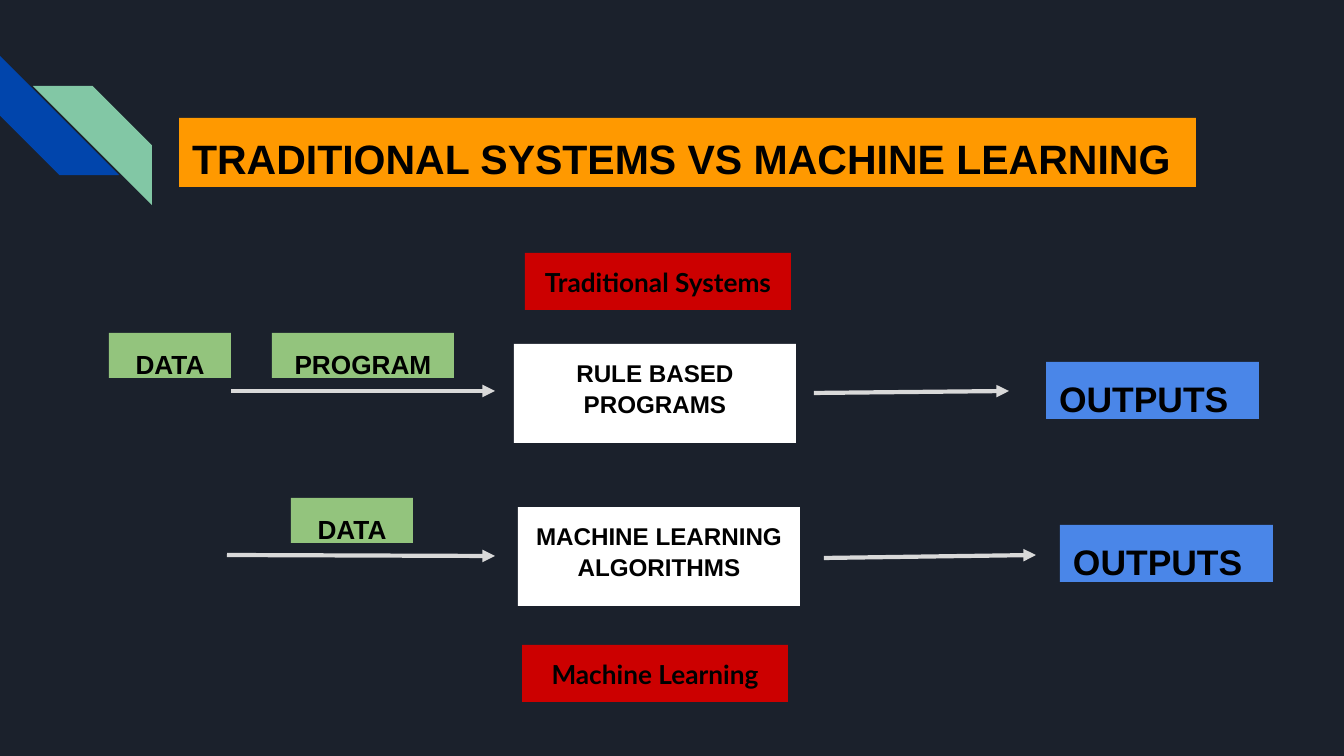
from dataclasses import dataclass
from lxml.etree import SubElement as Sub
from pptx import Presentation
from pptx.dml.color import RGBColor as RGB
from pptx.enum.shapes import MSO_CONNECTOR as Link, MSO_SHAPE as Kind
from pptx.enum.text import MSO_ANCHOR as Anchor, PP_ALIGN as Align
from pptx.oxml.ns import qn
from pptx.slide import Slide
from pptx.util import Emu, Pt

SCALE = 914400 / 100.8
INSET = 13
NIGHT = RGB(0x1B, 0x21, 0x2C)
BLUE = RGB(0x01, 0x45, 0xAC)
MINT = RGB(0x82, 0xC7, 0xA5)
WHITE = RGB(0xFF, 0xFF, 0xFF)
BLACK = RGB(0x00, 0x00, 0x00)
GREY = RGB(0xD9, 0xD9, 0xD9)
RED = RGB(0xCC, 0x00, 0x00)
GREEN = RGB(0x93, 0xC4, 0x7D)
SKY = RGB(0x4A, 0x86, 0xE8)
AMBER = RGB(0xFF, 0x99, 0x00)


@dataclass(frozen=True)
class Style:
    wide: int
    high: int
    fill: RGB
    size: float
    align: Align = Align.CENTER
    face: str = "Arial"
    pitch: float = 1.06


@dataclass(frozen=True)
class Box:
    text: str
    left: int
    top: int
    style: Style


@dataclass(frozen=True)
class Stripe:
    left: int
    top: int
    turn: int
    fill: RGB


@dataclass(frozen=True)
class Arrow:
    left: int
    start: int
    right: int
    end: int


TITLE = Style(1017, 69, AMBER, 29.3, Align.LEFT)
LABEL = Style(266, 57, RED, 18.7, face="Lato", pitch=1.0)
MODEL = Style(282, 99, WHITE, 17.3)
DATA = Style(122, 45, GREEN, 18.7)
CODE = Style(182, 45, GREEN, 18.7)
RESULT = Style(213, 57, SKY, 25.3, Align.LEFT)

STRIPES = [Stripe(0, 56, 270, BLUE), Stripe(33, 86, 90, MINT)]
ARROWS = [
    Arrow(231, 391, 495, 391),
    Arrow(227, 555, 495, 556),
    Arrow(814, 393, 1009, 391),
    Arrow(824, 558, 1036, 555),
]
BOXES = [
    Box("MACHINE LEARNING ALGORITHMS", 518, 507, MODEL),
    Box("RULE BASED PROGRAMS", 514, 344, MODEL),
    Box("Traditional Systems", 525, 253, LABEL),
    Box("Machine Learning", 522, 645, LABEL),
    Box("DATA", 109, 333, DATA),
    Box("PROGRAM", 272, 333, CODE),
    Box("DATA", 291, 498, DATA),
    Box("OUTPUTS", 1046, 362, RESULT),
    Box("OUTPUTS", 1060, 525, RESULT),
    Box("TRADITIONAL SYSTEMS VS MACHINE LEARNING", 179, 118, TITLE),
]


def px(count: int) -> Emu:
    return Emu(round(count * SCALE))


def put(item: object, form: dict) -> None:
    for name, value in form.items():
        setattr(item, name, value)


def shape(slide: Slide, kind: Kind, area: tuple, fill: RGB):
    form = slide.shapes.add_shape(kind, *map(px, area))
    form.shadow.inherit = False
    form.fill.solid()
    form.fill.fore_color.rgb = fill
    form.line.fill.background()
    return form


def add_stripe(slide: Slide, band: Stripe) -> None:
    form = shape(slide, Kind.DIAGONAL_STRIPE, (band.left, band.top, 119, 119), band.fill)
    form.rotation = band.turn


def add_box(slide: Slide, box: Box) -> None:
    style = box.style
    area = (box.left, box.top, style.wide, style.high)
    frame = shape(slide, Kind.RECTANGLE, area, style.fill).text_frame
    sides = ("left", "top", "right", "bottom")
    put(frame, {f"margin_{side}": px(INSET) for side in sides})
    put(frame, {"word_wrap": True, "vertical_anchor": Anchor.TOP, "text": box.text})
    para = frame.paragraphs[0]
    put(para, {"alignment": style.align, "line_spacing": style.pitch})
    font = para.runs[0].font
    put(font, {"name": style.face, "size": Pt(style.size), "bold": True})
    font.color.rgb = BLACK


def add_arrow(slide: Slide, arrow: Arrow) -> None:
    ends = (arrow.left, arrow.start, arrow.right, arrow.end)
    link = slide.shapes.add_connector(Link.STRAIGHT, *map(px, ends))
    link.line.color.rgb = GREY
    link.line.width = Pt(3)
    Sub(link.line._get_or_add_ln(), qn("a:tailEnd"), type="triangle")
    Sub(link._element.spPr, qn("a:effectLst"))


def main() -> None:
    deck = Presentation()
    put(deck, {"slide_width": px(1344), "slide_height": px(756)})
    slide = deck.slides.add_slide(deck.slide_layouts[6])
    slide.background.fill.solid()
    slide.background.fill.fore_color.rgb = NIGHT
    for band in STRIPES:
        add_stripe(slide, band)
    for arrow in ARROWS:
        add_arrow(slide, arrow)
    for box in BOXES:
        add_box(slide, box)
    deck.save("out.pptx")


if __name__ == "__main__":
    main()
